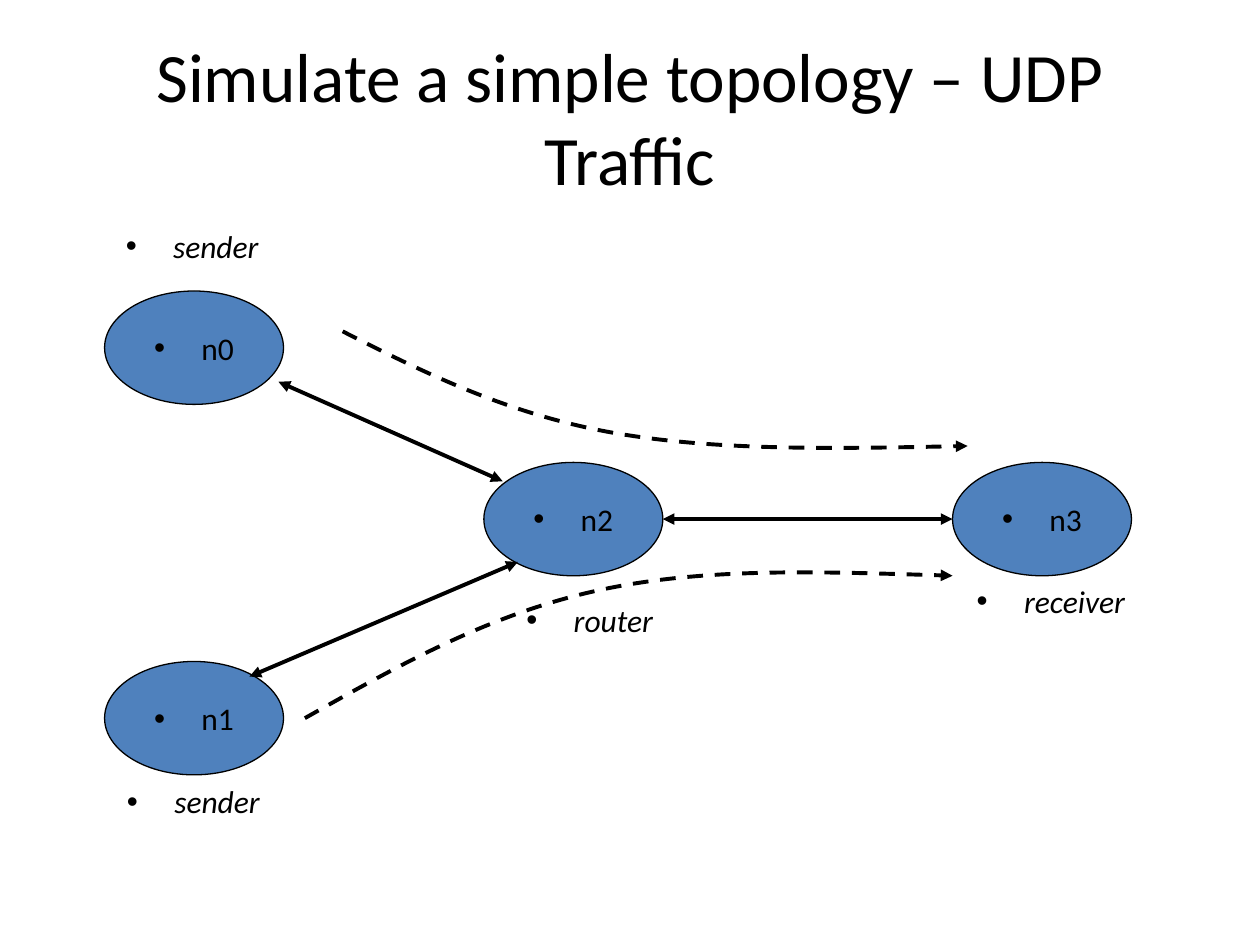
from lxml import etree
from pptx import Presentation
from pptx.dml.color import RGBColor
from pptx.enum.dml import MSO_LINE
from pptx.enum.shapes import MSO_CONNECTOR, MSO_SHAPE
from pptx.enum.text import MSO_ANCHOR, MSO_AUTO_SIZE, PP_ALIGN
from pptx.oxml.ns import qn
from pptx.util import Inches, Pt

CENTER, MIDDLE, TOP = PP_ALIGN.CENTER, MSO_ANCHOR.MIDDLE, MSO_ANCHOR.TOP
GROW, FIXED = MSO_AUTO_SIZE.SHAPE_TO_FIT_TEXT, MSO_AUTO_SIZE.NONE
COLORS = {"ink": "000000", "node": "4F81BD"}
INK = RGBColor.from_string(COLORS["ink"])

presentation = Presentation()
presentation.slide_width, presentation.slide_height = Inches(10), Inches(7.5)
slide = presentation.slides.add_slide(presentation.slide_layouts[6])

# Grid of 100 columns by 75 rows
COLUMN = presentation.slide_width / 100
ROW = presentation.slide_height / 75


def grid(*values):
    """Turn alternating column and row numbers into lengths."""
    return [round(value * (ROW if index % 2 else COLUMN))
            for index, value in enumerate(values)]


def write(shape, text, size, frame_format, italic=False, bullet=True):
    frame = shape.text_frame
    for name, value in frame_format.items():
        setattr(frame, name, value)
    paragraph = frame.paragraphs[0]
    paragraph.alignment = CENTER
    run = paragraph.add_run()
    run.text = text
    for name, value in {"name": "Calibri", "size": Pt(size), "italic": italic}.items():
        setattr(run.font, name, value)
    run.font.color.rgb = INK
    if bullet:
        properties = paragraph._p.get_or_add_pPr()
        properties.set("marL", str(Inches(0.375)))
        properties.set("indent", str(-Inches(0.375)))
        etree.SubElement(properties, qn("a:buFont"), typeface="Arial")
        etree.SubElement(properties, qn("a:buChar"), char="•")


# Title
title = slide.shapes.add_textbox(*grid(5, 3, 90, 12.5))
write(title, "Simulate a simple topology – UDP Traffic", 39.6,
      {"word_wrap": True, "auto_size": FIXED, "vertical_anchor": MIDDLE}, bullet=False)

# Network nodes
NODES = {"n0": (8.3, 23.1), "n1": (8.3, 52.5), "n2": (38.4, 36.7), "n3": (75.6, 36.7)}
for name, corner in NODES.items():
    node = slide.shapes.add_shape(MSO_SHAPE.OVAL, *grid(*corner, 14.2, 9))
    node.shadow.inherit = False
    node.fill.solid()
    node.fill.fore_color.rgb = RGBColor.from_string(COLORS["node"])
    node.line.color.rgb = INK
    node.line.width = Pt(0.75)
    write(node, name, 18, {"word_wrap": False, "vertical_anchor": MIDDLE})

# Links between nodes, with an arrowhead at both ends
LINKS = [(22.1, 30.3, 39.9, 38.2), (19.8, 53.7, 41.1, 44.6), (52.6, 41.2, 75.6, 41.2)]
arrows = []
for ends in LINKS:
    link = slide.shapes.add_connector(MSO_CONNECTOR.STRAIGHT, *grid(*ends))
    arrows.append((link, ("headEnd", "tailEnd")))

# Traffic flows: start point, then two cubic curves of three points each
FLOWS = [
    [(24.2, 57), (31.5, 52.9), (38.7, 48.8), (47.3, 46.9), (55.8, 45), (65.7, 45.4), (75.6, 45.7)],
    [(27.2, 26.3), (33.7, 29.6), (40.2, 32.8), (48.4, 34.3), (56.7, 35.8), (66.8, 35.6), (76.8, 35.4)],
]
for flow in FLOWS:
    start, *others = [grid(*point) for point in flow]
    builder = slide.shapes.build_freeform(*start)
    builder.add_line_segments(others, close=False)
    curve = builder.convert_to_shape()
    curve.shadow.inherit = False
    curve.fill.background()
    curve.line.dash_style = MSO_LINE.DASH
    # Gather each three straight segments into one cubic segment
    outline = curve._element.find(".//" + qn("a:path"))
    segments = outline.findall(qn("a:lnTo"))
    for first in range(0, len(segments), 3):
        cubic = etree.SubElement(outline, qn("a:cubicBezTo"))
        for segment in segments[first:first + 3]:
            cubic.append(segment[0])
            outline.remove(segment)
    arrows.append((curve, ("tailEnd",)))

# Shared line look and arrowheads
for arrow, ends in arrows:
    arrow.line.color.rgb = INK
    arrow.line.width = Pt(2.25)
    for end in ends:
        etree.SubElement(arrow.line._get_or_add_ln(), qn("a:" + end), type="triangle")
    if arrow._element.spPr.find(qn("a:effectLst")) is None:
        etree.SubElement(arrow._element.spPr, qn("a:effectLst"))

# Role labels
LABELS = [("sender", 5, 17.5, 20.5), ("sender", 5.1, 61.6, 20.5),
          ("router", 37.7, 47.2, 18.2), ("receiver", 71.8, 45.7, 23.2)]
for role, left, top, width in LABELS:
    label = slide.shapes.add_textbox(*grid(left, top, width, 5.4))
    write(label, role, 18,
          {"word_wrap": False, "auto_size": GROW, "vertical_anchor": TOP}, italic=True)

presentation.save("out.pptx")
